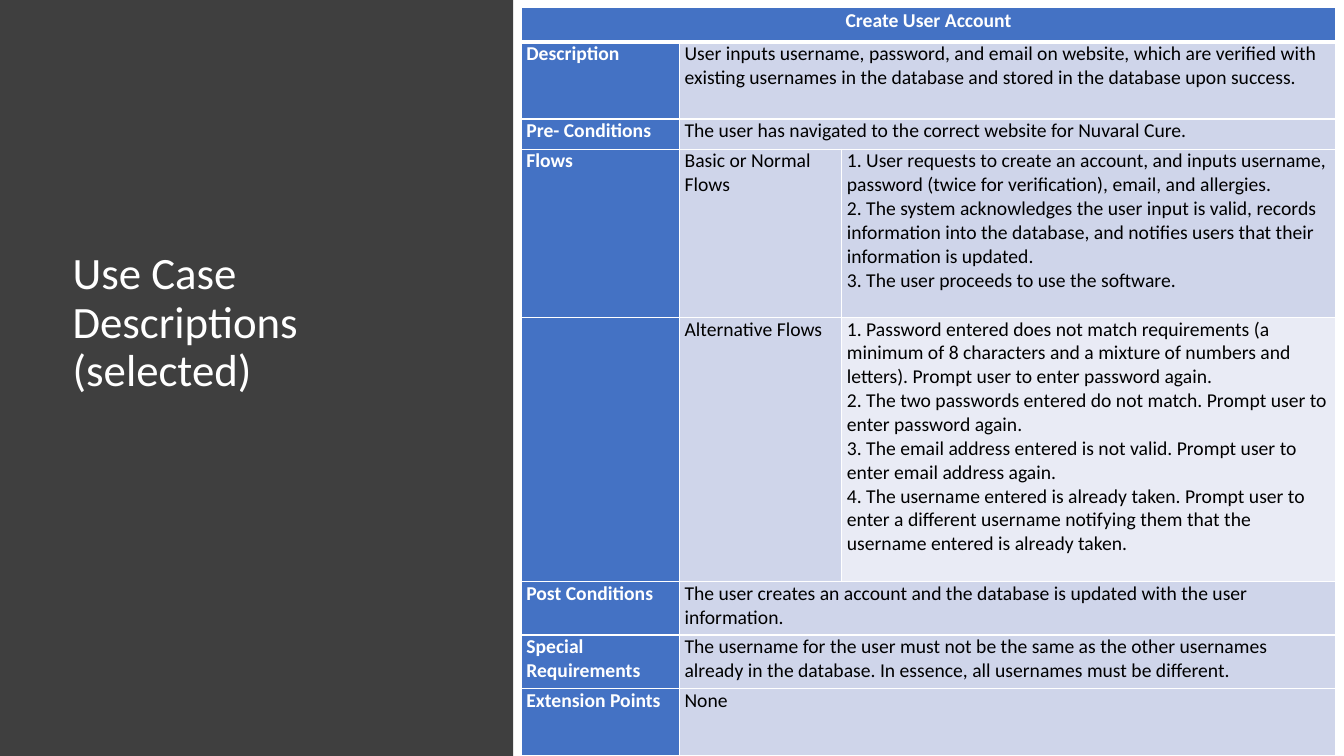
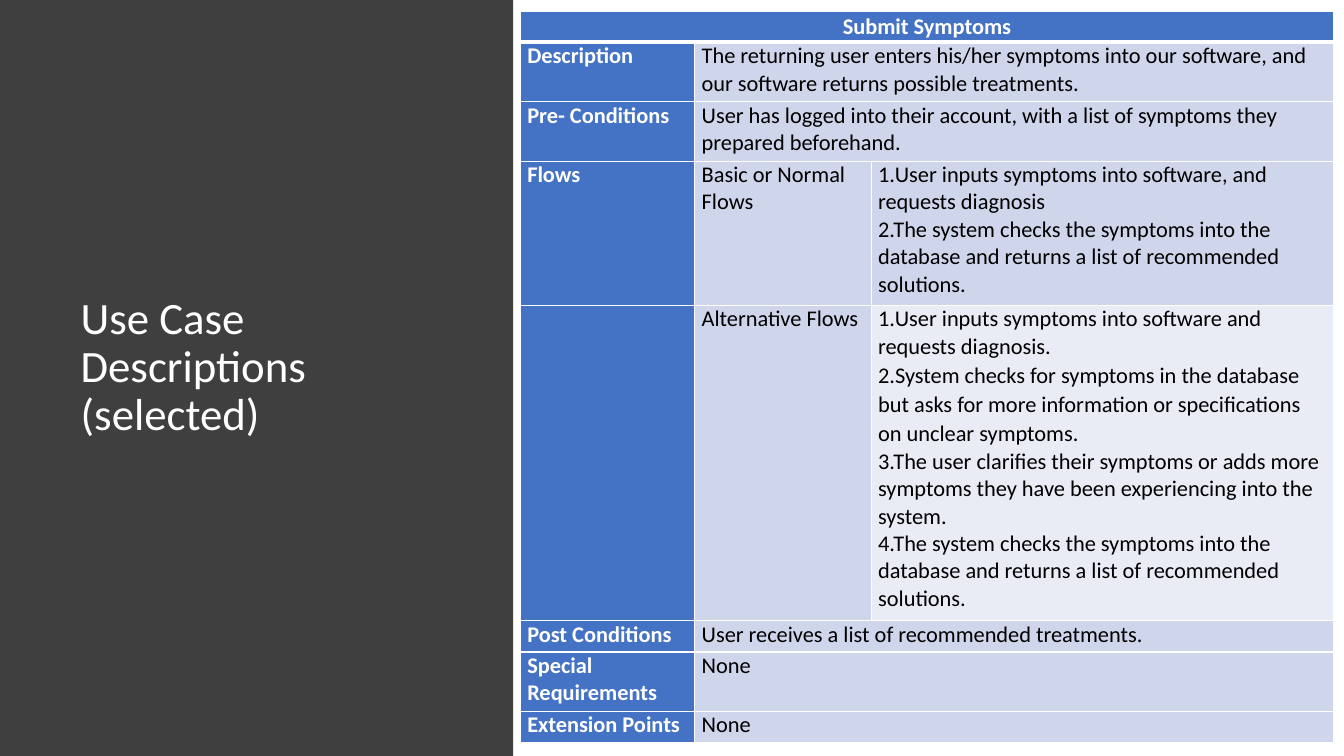
import pptx
import pptx.util
import pptx.dml.color
import pptx.enum.shapes
import pptx.enum.text
import pptx.oxml
import pptx.oxml.ns

Inches = pptx.util.Inches
Pt = pptx.util.Pt

COLORS = {
    "panel": "3F3F3F",
    "head": "4472C4",
    "band": "CFD5EA",
    "pale": "E9EBF5",
    "light": "FFFFFF",
    "dark": "000000",
}
FONT = "Calibri"
WIDE, HIGH = 13.33, 7.5
TITLE = "Use Case Descriptions (selected)"
LABELS = ["Description", "Pre- Conditions", "Flows", "",
          "Post Conditions", "Special Requirements", "Extension Points"]
FLOWS = {3: "Basic or Normal Flows", 4: "Alternative Flows"}

ACCOUNT = {
    "title": (0.62, 2.44),
    "table": (5.17, 0.07),
    "cols": [1.57, 1.61, 4.9],
    "rows": [0.35, 0.76, 0.3, 1.67, 2.62, 0.53, 0.53, 0.67],
    "size": 14,
    "inset": 0.05,
    "loose": [],
    "name": "Create User Account",
    "text": [
        "User inputs username, password, and email on website, which are verified with "
        "existing usernames in the database and stored in the database upon success.",
        "The user has navigated to the correct website for Nuvaral Cure.",
        "1. User requests to create an account, and inputs username, password "
        "(twice for verification), email, and allergies.\n"
        "2. The system acknowledges the user input is valid, records information into "
        "the database, and notifies users that their information is updated.\n"
        "3. The user proceeds to use the software.",
        "1. Password entered does not match requirements (a minimum of 8 characters and "
        "a mixture of numbers and letters). Prompt user to enter password again.\n"
        "2. The two passwords entered do not match. Prompt user to enter password again.\n"
        "3. The email address entered is not valid. Prompt user to enter email address again.\n"
        "4. The username entered is already taken. Prompt user to enter a different "
        "username notifying them that the username entered is already taken.",
        "The user creates an account and the database is updated with the user information.",
        "The username for the user must not be the same as the other usernames already in "
        "the database. In essence, all usernames must be different.",
        "None",
    ],
}

SYMPTOMS = {
    "title": (0.7, 2.88),
    "table": (5.16, 0.11),
    "cols": [1.73, 1.75, 4.59],
    "rows": [0.31, 0.59, 0.59, 1.43, 3.13, 0.31, 0.59, 0.31],
    "size": 16,
    "inset": 0.07,
    "loose": [(4, 1)],
    "name": "Submit Symptoms",
    "text": [
        "The returning user enters his/her symptoms into our software, and our software "
        "returns possible treatments.",
        "User has logged into their account, with a list of symptoms they prepared beforehand.",
        "1.User inputs symptoms into software, and requests diagnosis\n"
        "2.The system checks the symptoms into the database and returns a list of "
        "recommended solutions.",
        "1.User inputs symptoms into software and requests diagnosis.\n"
        "2.System checks for symptoms in the database but asks for more information or "
        "specifications on unclear symptoms.\n"
        "3.The user clarifies their symptoms or adds more symptoms they have been "
        "experiencing into the system.\n"
        "4.The system checks the symptoms into the database and returns a list of "
        "recommended solutions.",
        "User receives a list of recommended treatments.",
        "None",
        "None",
    ],
}


def rgb(name):
    return pptx.dml.color.RGBColor.from_string(COLORS[name])


def paint(shape, name):
    shape.fill.solid()
    shape.fill.fore_color.rgb = rgb(name)


def style(par, size, color, bold=False):
    for run in par.runs:
        run.font.name = FONT
        run.font.size = Pt(size)
        run.font.bold = bold
        run.font.color.rgb = rgb(color)


def border(cell, row):
    props = cell._tc.get_or_add_tcPr()
    for side in "LRTB":
        thick = (row, side) in [(0, "B"), (1, "T")]
        props.append(pptx.oxml.parse_xml(
            f'<a:ln{side} {pptx.oxml.ns.nsdecls("a")} w="{Pt(3 if thick else 1)}">'
            f'<a:solidFill><a:srgbClr val="{COLORS["light"]}"/></a:solidFill>'
            f'</a:ln{side}>'))


def add_panel(slide, box):
    panel = slide.shapes.add_shape(
        pptx.enum.shapes.MSO_SHAPE.RECTANGLE, *map(Inches, box))
    panel.shadow.inherit = False
    paint(panel, "panel")
    panel.line.fill.background()
    slide.shapes._spTree.insert(2, panel._element)


def add_title(slide, left, top):
    title = slide.shapes.title
    title.left, title.top = Inches(left), Inches(top)
    title.width, title.height = Inches(3.68), Inches(3.74)
    frame = title.text_frame
    frame.text = TITLE
    frame.word_wrap = True
    frame.auto_size = pptx.enum.text.MSO_AUTO_SIZE.NONE
    frame.vertical_anchor = pptx.enum.text.MSO_ANCHOR.TOP
    par = frame.paragraphs[0]
    par.alignment = pptx.enum.text.PP_ALIGN.LEFT
    par.line_spacing = 0.9
    style(par, 32, "light")


def fill_cell(cell, case, row, col):
    border(cell, row)
    head = row == 0 or col == 0
    paint(cell, "head" if head else "pale" if (row, col) == (4, 2) else "band")
    cell.margin_left = cell.margin_right = Inches(case["inset"])
    cell.margin_top = cell.margin_bottom = 0
    for at, par in enumerate(cell.text_frame.paragraphs):
        style(par, case["size"], "light" if head else "dark", head)
        if row == 0:
            par.alignment = pptx.enum.text.PP_ALIGN.CENTER
        if row == 0 or (col == 2 and (row, at) in case["loose"]):
            par.line_spacing = 1.07


def add_case(slide, case):
    left, top = case["table"]
    cols, rows = case["cols"], case["rows"]
    grid = slide.shapes.add_table(
        len(rows), len(cols), Inches(left), Inches(top),
        Inches(sum(cols)), Inches(sum(rows))).table
    grid.horz_banding = False
    for col, width in zip(grid.columns, cols):
        col.width = Inches(width)
    for row, height in zip(grid.rows, rows):
        row.height = Inches(height)
    grid.cell(0, 0).text = case["name"]
    grid.cell(0, 0).merge(grid.cell(0, 2))
    for row, (label, text) in enumerate(zip(LABELS, case["text"]), 1):
        grid.cell(row, 0).text = label
        if row in FLOWS:
            grid.cell(row, 1).text = FLOWS[row]
            grid.cell(row, 2).text = text
        else:
            grid.cell(row, 1).text = text
            grid.cell(row, 1).merge(grid.cell(row, 2))
    for row in range(len(rows)):
        for col in range(len(cols)):
            fill_cell(grid.cell(row, col), case, row, col)


def add_slide(deck, case):
    slide = deck.slides.add_slide(deck.slide_layouts.get_by_name("Title Only"))
    add_panel(slide, (0, 0, 5.09, HIGH))
    add_title(slide, *case["title"])
    add_case(slide, case)


def main():
    deck = pptx.Presentation()
    deck.slide_width, deck.slide_height = Inches(WIDE), Inches(HIGH)
    for case in (ACCOUNT, SYMPTOMS):
        add_slide(deck, case)
    deck.save("out.pptx")


if __name__ == "__main__":
    main()
